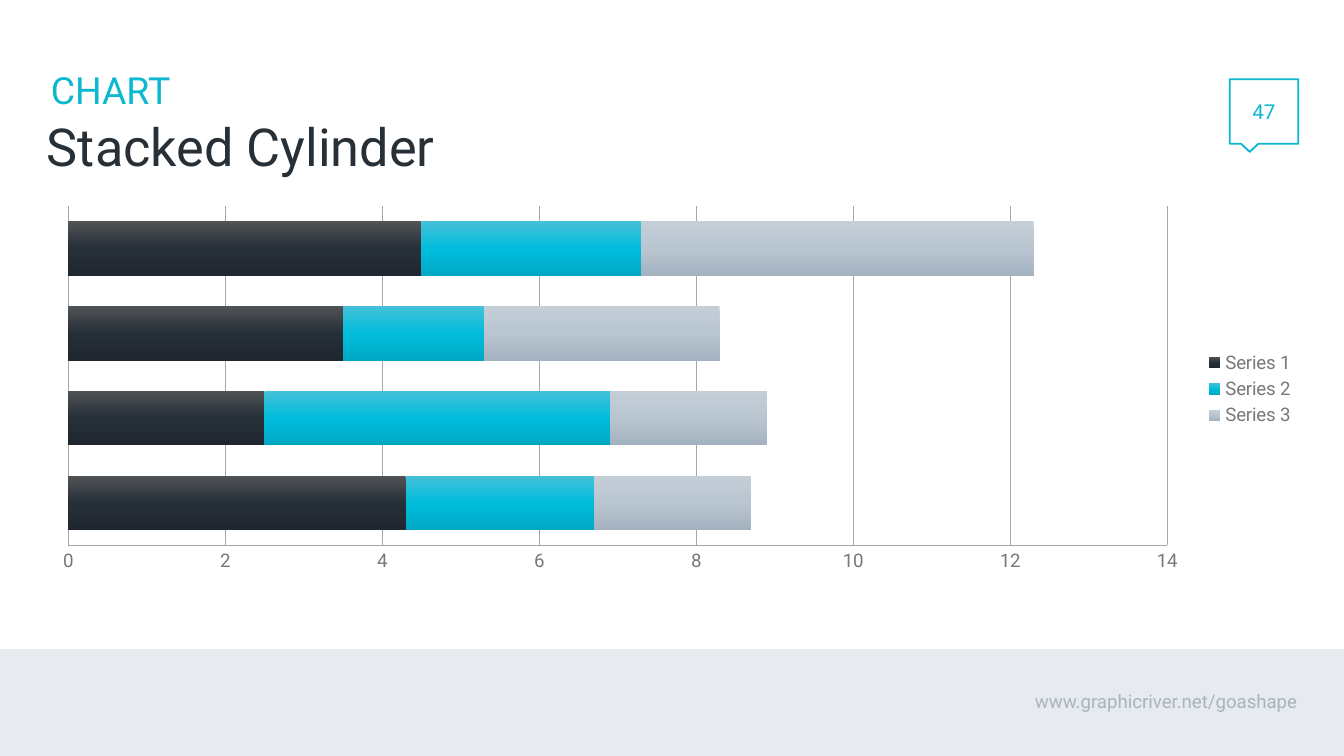
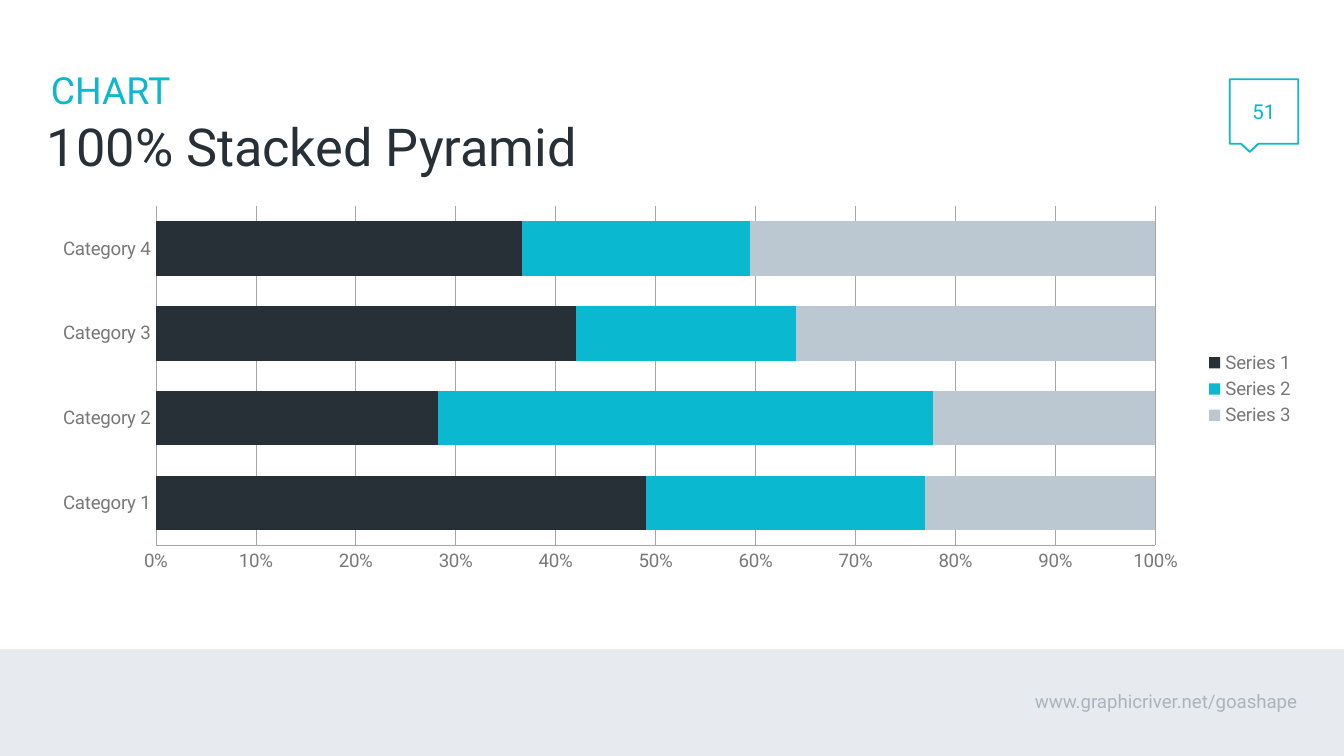
from copy import deepcopy

from pptx import Presentation
from pptx import util as u
from pptx.chart.data import CategoryChartData
from pptx.dml.color import RGBColor
from pptx.enum import chart as charts, shapes, text
from pptx.oxml.ns import qn

# Shared style
FONT = "Roboto"
WHITE = RGBColor(0xFF, 0xFF, 0xFF)
DARK = RGBColor(0x27, 0x2F, 0x37)
CYAN = RGBColor(0x0A, 0xB8, 0xD0)
SILVER = RGBColor(0xBC, 0xC8, 0xD1)
BAND = RGBColor(0xE7, 0xEA, 0xEE)
FOOTER_GREY = RGBColor(0xA7, 0xB5, 0xBF)
LABEL_GREY = RGBColor(0x78, 0x78, 0x78)
GRID_GREY = RGBColor(0xA6, 0xA6, 0xA6)

SERIES_COLORS = [DARK, CYAN, SILVER]
# Top, middle and bottom shade of each cylinder series
CYLINDER_SHADES = [
    [RGBColor(0x50, 0x54, 0x56), RGBColor(0x26, 0x2E, 0x37), RGBColor(0x20, 0x27, 0x30)],
    [RGBColor(0x46, 0xC0, 0xD8), RGBColor(0x00, 0xBD, 0xDC), RGBColor(0x00, 0xA8, 0xC4)],
    [RGBColor(0xC4, 0xCE, 0xD7), RGBColor(0xB9, 0xC6, 0xD1), RGBColor(0xA4, 0xB1, 0xBE)],
]

# A 16:9 page
WIDTH = 10
HEIGHT = WIDTH * 9 / 16
BAND_TOP = 4.83
HEADER_BOX = (0.28, 0.47, 8.64, 0.43)
TITLE_BOX = (0.28, 0.9, 8.64, 0.42)
CHART_BOX = (0.28, 1.48, 9.45, 2.83)
BAND_BOX = (0, BAND_TOP, WIDTH, HEIGHT - BAND_TOP)
ADDRESS_BOX = (5, BAND_TOP, 4.72, 0.47)
BADGE_BOX = (9.15, 0.59, 0.51, 0.48)

SLIDES = [
    {
        "title": "Stacked Cylinder",
        "number": "47",
        "kind": charts.XL_CHART_TYPE.BAR_STACKED,
        "categories": ["1", "2", "3", "4"],
        "values": [[4.3, 2.5, 3.5, 4.5], [2.4, 4.4, 1.8, 2.8], [2, 2, 3, 5]],
        "axis": (14, 2, "General"),
        "cylinder": True,
    },
    {
        "title": "100% Stacked Pyramid",
        "number": "51",
        "kind": charts.XL_CHART_TYPE.BAR_STACKED_100,
        "categories": [f"Category {i}" for i in range(1, 5)],
        "values": [[49, 28, 42, 37], [28, 49, 22, 23], [23, 22, 36, 41]],
        "axis": (1, 0.1, "0%"),
        "cylinder": False,
    },
]


def inches(box):
    return [u.Inches(length) for length in box]


def write(shape, words, size, color, margins, anchor,
          align=text.PP_ALIGN.LEFT, spacing=None, wrap=True):
    frame = shape.text_frame
    frame.word_wrap = wrap
    frame.vertical_anchor = anchor
    frame.margin_left = frame.margin_right = u.Inches(margins[0])
    frame.margin_top = frame.margin_bottom = u.Inches(margins[1])
    paragraph = frame.paragraphs[0]
    paragraph.text = words
    paragraph.alignment = align
    paragraph.line_spacing = spacing
    paragraph.font.name = FONT
    paragraph.font.size = u.Pt(size)
    paragraph.font.color.rgb = color


def add_heading(slide, title):
    write(slide.shapes.add_textbox(*inches(HEADER_BOX)), "CHART", 20, CYAN,
          (0.1, 0.05), text.MSO_ANCHOR.MIDDLE, spacing=0.9)
    write(slide.shapes.add_textbox(*inches(TITLE_BOX)), title, 28, DARK,
          (0.07, 0), text.MSO_ANCHOR.TOP, spacing=0.9)


def add_footer(slide):
    band = slide.shapes.add_shape(shapes.MSO_SHAPE.RECTANGLE, *inches(BAND_BOX))
    band.shadow.inherit = False
    band.fill.solid()
    band.fill.fore_color.rgb = BAND
    band.line.fill.background()
    write(slide.shapes.add_textbox(*inches(ADDRESS_BOX)),
          "www.graphicriver.net/goashape", 10, FOOTER_GREY,
          (0.07, 0), text.MSO_ANCHOR.BOTTOM, text.PP_ALIGN.RIGHT)


def add_number_badge(slide, number):
    badge = slide.shapes.add_shape(
        shapes.MSO_SHAPE.RECTANGULAR_CALLOUT, *inches(BADGE_BOX))
    badge.shadow.inherit = False
    badge.fill.background()
    badge.line.color.rgb = CYAN
    badge.line.width = u.Pt(1)
    write(badge, number, 11, CYAN, (0.16, 0.15), text.MSO_ANCHOR.MIDDLE,
          text.PP_ALIGN.CENTER, wrap=False)


def shade_series(series, shades):
    fill = series.format.fill
    fill.gradient()
    fill.gradient_angle = 270
    # A new gradient has two stops; the cylinder needs a third
    stop_list = next(series._element.iter(qn("a:gsLst")))
    stop_list.append(deepcopy(stop_list[-1]))
    for stop, position, shade in zip(fill.gradient_stops, (0, 0.5, 1), shades):
        stop.position = position
        stop.color.rgb = shade


def style_line(line):
    line.color.rgb = GRID_GREY
    line.width = u.Pt(0.25)


def add_bar_chart(slide, content):
    data = CategoryChartData()
    data.categories = content["categories"]
    for i, values in enumerate(content["values"], 1):
        data.add_series(f"Series {i}", values)
    chart = slide.shapes.add_chart(content["kind"], *inches(CHART_BOX), data).chart
    chart.has_title = False
    chart.font.name = FONT
    chart.font.size = u.Pt(10)
    chart.font.color.rgb = LABEL_GREY

    # Legend
    chart.has_legend = True
    chart.legend.position = charts.XL_LEGEND_POSITION.RIGHT
    chart.legend.include_in_layout = False

    # Bars
    plot = chart.plots[0]
    plot.gap_width = 55
    plot.overlap = 100
    plot.vary_by_categories = False
    for series, color, shades in zip(plot.series, SERIES_COLORS, CYLINDER_SHADES):
        series.invert_if_negative = False
        if content["cylinder"]:
            shade_series(series, shades)
        else:
            series.format.fill.solid()
            series.format.fill.fore_color.rgb = color

    # Axes
    for axis in (chart.category_axis, chart.value_axis):
        axis.major_tick_mark = charts.XL_TICK_MARK.NONE
        axis.minor_tick_mark = charts.XL_TICK_MARK.NONE
        style_line(axis.format.line)
    if content["cylinder"]:
        chart.category_axis.tick_label_position = charts.XL_TICK_LABEL_POSITION.NONE
    value_axis = chart.value_axis
    value_axis.minimum_scale = 0
    value_axis.maximum_scale, value_axis.major_unit, number_format = content["axis"]
    value_axis.tick_labels.number_format = number_format
    value_axis.tick_labels.number_format_is_linked = False
    value_axis.has_major_gridlines = True
    style_line(value_axis.major_gridlines.format.line)


def add_chart_slide(presentation, content):
    slide = presentation.slides.add_slide(presentation.slide_layouts[6])
    slide.background.fill.solid()
    slide.background.fill.fore_color.rgb = WHITE
    add_footer(slide)
    add_bar_chart(slide, content)
    add_heading(slide, content["title"])
    add_number_badge(slide, content["number"])


def main():
    presentation = Presentation()
    presentation.slide_width = u.Inches(WIDTH)
    presentation.slide_height = u.Inches(HEIGHT)
    for content in SLIDES:
        add_chart_slide(presentation, content)
    presentation.save("out.pptx")


if __name__ == "__main__":
    main()
